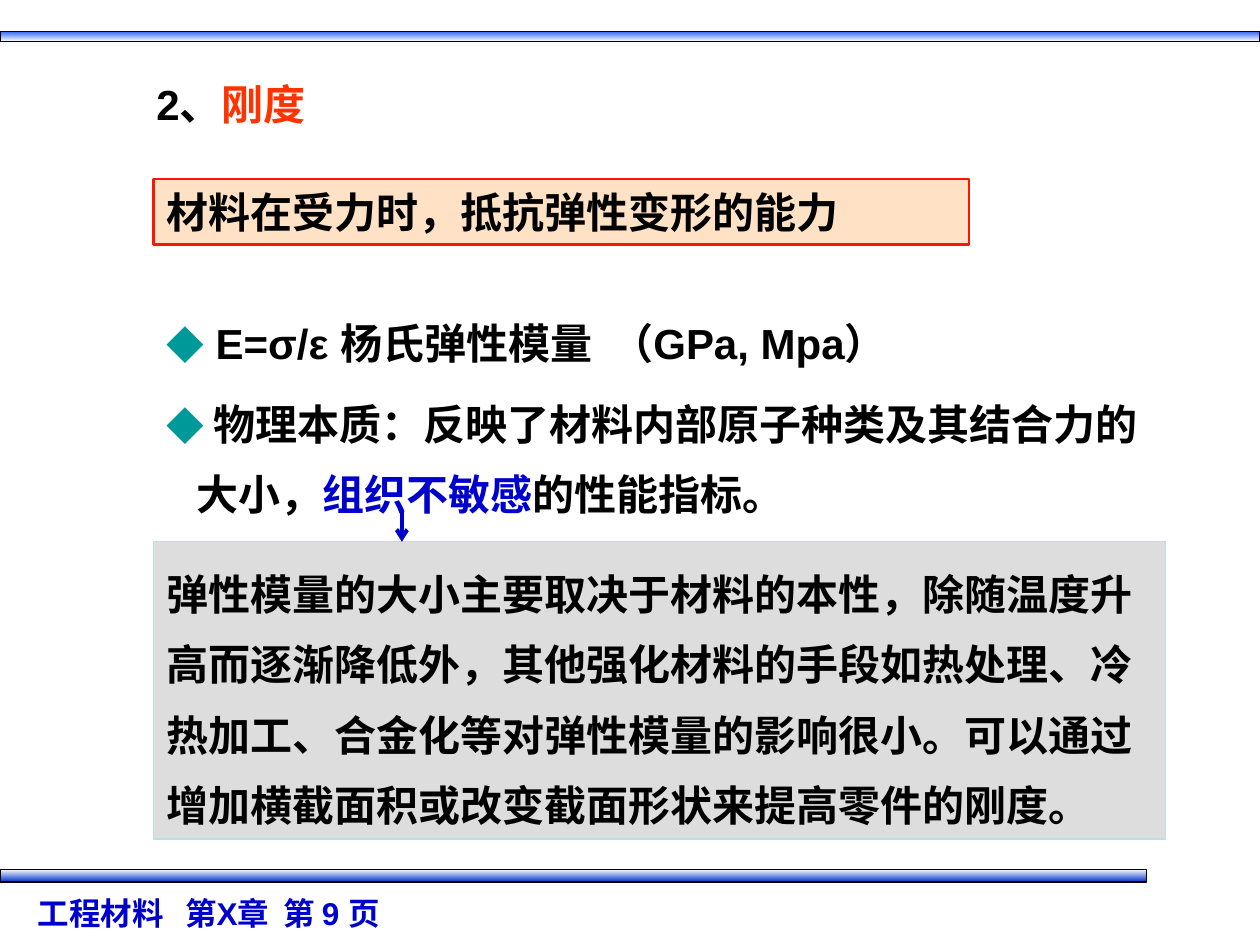
from lxml import etree
from pptx import Presentation
from pptx import util as u
from pptx.dml.color import RGBColor
from pptx.enum import shapes, text
from pptx.oxml.ns import qn

COLORS = {
    "black": "000000", "white": "FFFFFF", "blue": "0000CC", "orange": "FF3300",
    "teal": "009999", "peach": "FFCC99", "red": "F91605", "gray": "DDDDDD",
    "pale": "BBE0E3", "bar_top": "3366FF", "bar_bottom": "0033CC",
}
LATIN, CJK = "Arial", "Noto Sans CJK SC"


def rgb(name):
    return RGBColor.from_string(COLORS[name])


def place(sp, box):
    sp.left, sp.top, sp.width, sp.height = (u.Inches(v) for v in box)


def add_run(p, words, color="black", size=24, font=LATIN):
    r = p.add_run()
    r.text = words
    r.font.size, r.font.bold, r.font.name = u.Pt(size), True, font
    r.font.color.rgb = rgb(color)
    ea = etree.SubElement(r._r.get_or_add_rPr(), qn("a:ea"))
    ea.set("typeface", CJK)


def setup_frame(sp, anchor=text.MSO_ANCHOR.MIDDLE):
    tf = sp.text_frame
    tf.word_wrap = True
    tf.auto_size = text.MSO_AUTO_SIZE.NONE
    tf.vertical_anchor = anchor
    p = tf.paragraphs[0]
    p.alignment = text.PP_ALIGN.LEFT
    return tf


def add_diamond(p):
    pPr = p._p.get_or_add_pPr()
    pPr.set("marL", str(u.Inches(0.24)))
    pPr.set("indent", str(-u.Inches(0.24)))
    clr = etree.SubElement(pPr, qn("a:buClr"))
    etree.SubElement(clr, qn("a:srgbClr")).set("val", COLORS["teal"])
    etree.SubElement(pPr, qn("a:buSzPct")).set("val", "90000")
    etree.SubElement(pPr, qn("a:buFont")).set("typeface", CJK)
    etree.SubElement(pPr, qn("a:buChar")).set("char", "◆")


def add_rect(s, box, line, width):
    sp = s.shapes.add_shape(shapes.MSO_SHAPE.RECTANGLE, *(u.Inches(v) for v in box))
    sp.shadow.inherit = False
    sp.line.color.rgb = rgb(line)
    sp.line.width = u.Pt(width)
    return sp


def add_bar(s, box, top, bottom):
    sp = add_rect(s, box, "black", 0.75)
    sp.fill.gradient()
    sp.fill.gradient_angle = 270
    for stop, color, pos in zip(sp.fill.gradient_stops, (top, bottom), (0, 1)):
        stop.color.rgb = rgb(color)
        stop.position = pos


def add_panel(s, box, fill, line, width, words, anchor, alpha=100, font=LATIN):
    sp = add_rect(s, box, line, width)
    sp.fill.solid()
    sp.fill.fore_color.rgb = rgb(fill)
    if alpha < 100:
        clr = sp._element.spPr.find(qn("a:solidFill"))[0]
        etree.SubElement(clr, qn("a:alpha")).set("val", str(alpha * 1000))
    p = setup_frame(sp, anchor).paragraphs[0]
    add_run(p, words, font=font)
    return p


def add_arrow(s, x, y1, y2):
    c = s.shapes.add_connector(shapes.MSO_CONNECTOR.STRAIGHT, u.Inches(x),
                               u.Inches(y1), u.Inches(x), u.Inches(y2))
    c.line.color.rgb = rgb("blue")
    c.line.width = u.Pt(2.25)
    etree.SubElement(c.line._get_or_add_ln(), qn("a:tailEnd")).set("type", "arrow")
    etree.SubElement(c._element.spPr, qn("a:effectLst"))


def main():
    prs = Presentation()
    prs.slide_width, prs.slide_height = u.Inches(10), u.Inches(7.5)
    s = prs.slides.add_slide(prs.slide_layouts[1])

    # Top and bottom bars, footer
    add_bar(s, (0, 0.25, 10, 0.08), "bar_top", "white")
    add_bar(s, (0, 6.9, 9.1, 0.1), "white", "bar_bottom")
    footer = s.shapes.add_textbox(*(u.Inches(v) for v in (0.2, 7.05, 6.38, 0.4)))
    tf = setup_frame(footer, text.MSO_ANCHOR.TOP)
    add_run(tf.paragraphs[0], "工程材料   第X章  第 9 页", "blue", 18)

    # Title
    title = s.shapes.title
    place(title, (1.14, 0.57, 2.13, 0.5))
    p = setup_frame(title).paragraphs[0]
    add_run(p, "2、")
    add_run(p, "刚度", "orange")

    # Bullet list
    body = s.placeholders[1]
    place(body, (1.22, 2.3, 8.03, 1.88))
    tf = setup_frame(body)
    bullets = [
        [(" E=σ/ε 杨氏弹性模量  （GPa, Mpa）", "black")],
        [(" 物理本质：反映了材料内部原子种类及其结合力的大小，", "black"),
         ("组织不敏感", "blue"), ("的性能指标。", "black")],
    ]
    for i, runs in enumerate(bullets):
        p = tf.add_paragraph() if i else tf.paragraphs[0]
        p.line_spacing = 1.4
        p.space_before = u.Pt(6 if i else 0)
        add_diamond(p)
        for words, color in runs:
            add_run(p, words, color)

    # Definition and explanation panels
    add_panel(s, (1.22, 1.42, 6.47, 0.52), "peach", "red", 1.5,
              "材料在受力时，抵抗弹性变形的能力", text.MSO_ANCHOR.MIDDLE, alpha=56)
    p = add_panel(s, (1.22, 4.3, 8.03, 2.36), "gray", "pale", 0.75,
                  "弹性模量的大小主要取决于材料的本性，除随温度升高而逐渐降低外，"
                  "其他强化材料的手段如热处理、冷热加工、合金化等对弹性模量的影响很小。"
                  "可以通过增加横截面积或改变截面形状来提高零件的刚度。",
                  text.MSO_ANCHOR.TOP, font=CJK)
    p.line_spacing = 1.4

    # Arrow from the key phrase to its explanation
    add_arrow(s, 3.19, 4.06, 4.3)

    prs.save("out.pptx")


if __name__ == "__main__":
    main()
